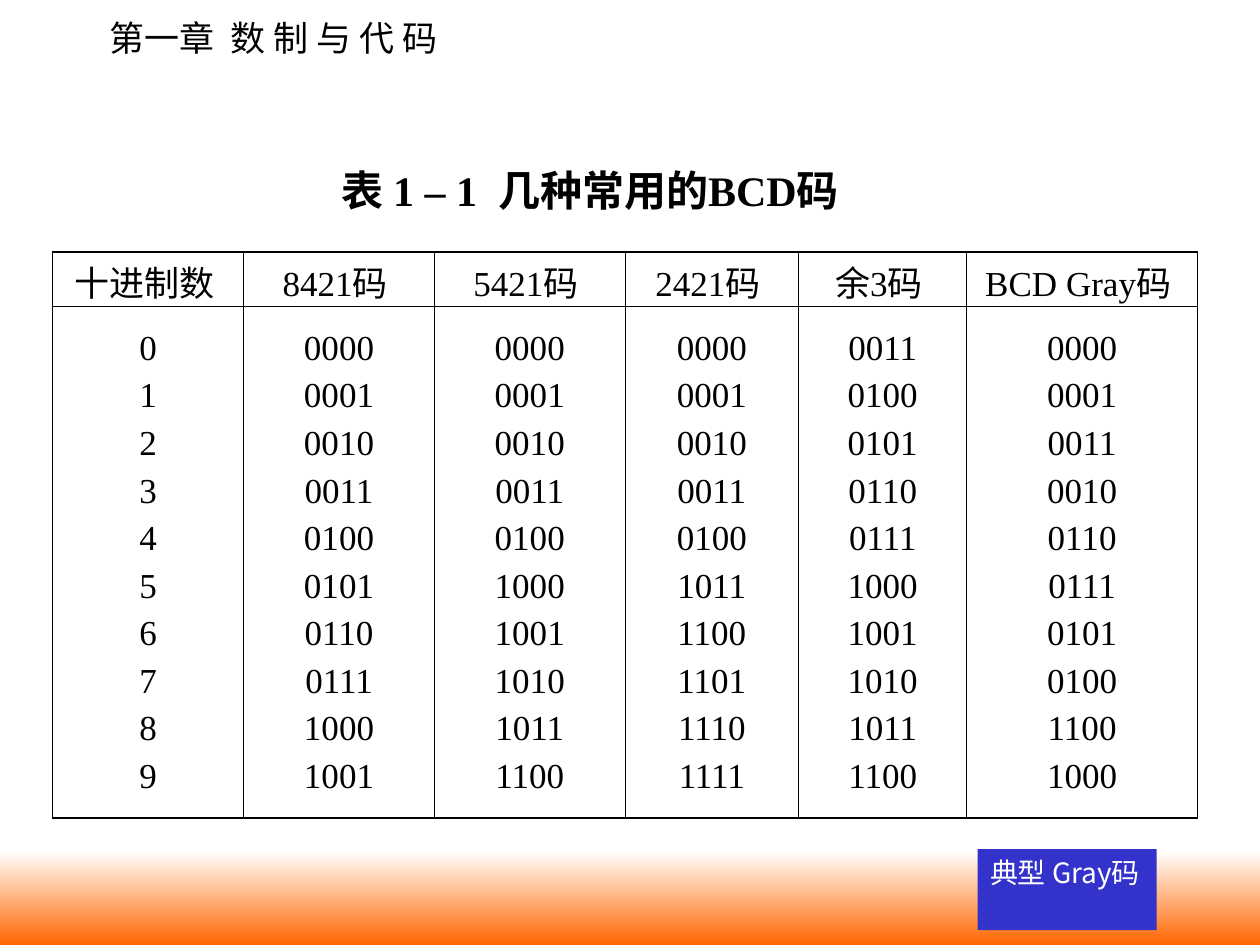
from dataclasses import dataclass

from lxml import etree
from pptx import Presentation
from pptx.dml.color import RGBColor
from pptx.enum.shapes import MSO_SHAPE
from pptx.enum.text import MSO_ANCHOR, MSO_AUTO_SIZE, PP_ALIGN
from pptx.oxml.ns import qn
from pptx.util import Cm, Pt

RECTANGLE = MSO_SHAPE.RECTANGLE
TOP, MIDDLE, BOTTOM = MSO_ANCHOR.TOP, MSO_ANCHOR.MIDDLE, MSO_ANCHOR.BOTTOM
NO_AUTOSIZE = MSO_AUTO_SIZE.NONE
LEFT, CENTER = PP_ALIGN.LEFT, PP_ALIGN.CENTER

COLORS = {"ink": "000000", "paper": "FFFFFF", "orange": "FF6600", "blue": "3333CC"}
SERIF = "Times New Roman"
OUTER_LINE, INNER_LINE = Pt(1.08), Pt(0.45)


@dataclass
class Box:
    left: float
    top: float
    width: float
    height: float

    def lengths(self) -> tuple:
        return Cm(self.left), Cm(self.top), Cm(self.width), Cm(self.height)


@dataclass
class TextStyle:
    font: str
    size: float
    color: str = "ink"
    bold: bool = False
    align: int = LEFT


@dataclass
class CodeColumn:
    heading: str
    width: float
    codes: str


CODE_COLUMNS = [
    CodeColumn("十进制数 ", 3.85, "0 1 2 3 4 5 6 7 8 9"),
    CodeColumn("8421码 ", 3.85, "0000 0001 0010 0011 0100 0101 0110 0111 1000 1001"),
    CodeColumn("5421码 ", 3.84, "0000 0001 0010 0011 0100 1000 1001 1010 1011 1100"),
    CodeColumn("2421码 ", 3.5, "0000 0001 0010 0011 0100 1011 1100 1101 1110 1111"),
    CodeColumn("余3码 ", 3.39, "0011 0100 0101 0110 0111 1000 1001 1010 1011 1100"),
    CodeColumn("BCD Gray码 ", 4.65, "0000 0001 0011 0010 0110 0111 0101 0100 1100 1000"),
]
ROW_HEIGHTS = [1.09, 10.31]


def rgb(name: str) -> RGBColor:
    return RGBColor.from_string(COLORS[name])


def write(frame, text: str, style: TextStyle, space_before: float = 0) -> None:
    frame.text = text
    for index, paragraph in enumerate(frame.paragraphs):
        paragraph.alignment = style.align
        paragraph.space_before = Pt(space_before if index else 0)
        for run in paragraph.runs:
            run.font.name = style.font
            run.font.size = Pt(style.size)
            run.font.bold = style.bold
            run.font.color.rgb = rgb(style.color)


def place_line(shape, box: Box, text: str, style: TextStyle) -> None:
    shape.left, shape.top, shape.width, shape.height = box.lengths()
    frame = shape.text_frame
    frame.auto_size = NO_AUTOSIZE
    frame.word_wrap = False
    frame.vertical_anchor = TOP
    write(frame, text, style)


def add_rectangle(slide, box: Box):
    rectangle = slide.shapes.add_shape(RECTANGLE, *box.lengths())
    rectangle.shadow.inherit = False
    rectangle.line.fill.background()
    return rectangle


def add_border(cell, side: str, width: int) -> None:
    properties = cell._tc.get_or_add_tcPr()
    line = etree.SubElement(properties, qn(f"a:ln{side}"), w=str(int(width)))
    fill = etree.SubElement(line, qn("a:solidFill"))
    etree.SubElement(fill, qn("a:srgbClr"), val=COLORS["ink"])


def add_code_table(slide, box: Box, columns: list[CodeColumn]) -> None:
    table = slide.shapes.add_table(len(ROW_HEIGHTS), len(columns), *box.lengths()).table
    table.first_row = table.horz_banding = False
    for row, height in zip(table.rows, ROW_HEIGHTS):
        row.height = Cm(height)
    style = TextStyle(SERIF, 20, align=CENTER)
    last = len(columns) - 1
    for index, column in enumerate(columns):
        table.columns[index].width = Cm(column.width)
        heading, codes = table.cell(0, index), table.cell(1, index)
        heading.margin_top, heading.margin_bottom = Cm(0.08), Cm(0)
        heading.vertical_anchor, codes.vertical_anchor = BOTTOM, MIDDLE
        write(heading.text_frame, column.heading, style)
        write(codes.text_frame, column.codes.replace(" ", "\n"), style, 5)
        for cell in (heading, codes):
            outer = {"L": index == 0, "R": index == last, "T": cell is heading, "B": cell is codes}
            for side, is_outer in outer.items():
                add_border(cell, side, OUTER_LINE if is_outer else INNER_LINE)
            cell.fill.background()


def main() -> None:
    presentation = Presentation()
    presentation.slide_width, presentation.slide_height = Cm(25.4), Cm(19.05)
    slide = presentation.slides.add_slide(presentation.slide_layouts[5])

    footer_band = add_rectangle(slide, Box(0, 17.15, 25.4, 1.9))
    footer_band.fill.gradient()
    footer_band.fill.gradient_angle = 270
    for stop, color in zip(footer_band.fill.gradient_stops, ("paper", "orange")):
        stop.color.rgb = rgb(color)

    chapter_box = Box(1.96, 0.2, 7.26, 1.12)
    chapter = slide.shapes.add_textbox(*chapter_box.lengths())
    place_line(chapter, chapter_box, "第一章  数 制 与 代 码", TextStyle("Noto Sans CJK SC", 20))
    place_line(slide.shapes.title, Box(6.63, 3.18, 11.53, 1.27),
               "表 1 – 1  几种常用的BCD码", TextStyle(SERIF, 24, bold=True))

    add_code_table(slide, Box(1.06, 5.08, 23.08, 11.4), CODE_COLUMNS)

    gray_button = add_rectangle(slide, Box(19.71, 17.12, 3.61, 1.63))
    gray_button.fill.solid()
    gray_button.fill.fore_color.rgb = rgb("blue")
    gray_button.text_frame.word_wrap = True
    gray_button.text_frame.vertical_anchor = TOP
    write(gray_button.text_frame, "典型 Gray码", TextStyle("Noto Sans CJK JP", 16, "paper"))

    presentation.save("out.pptx")


if __name__ == "__main__":
    main()
